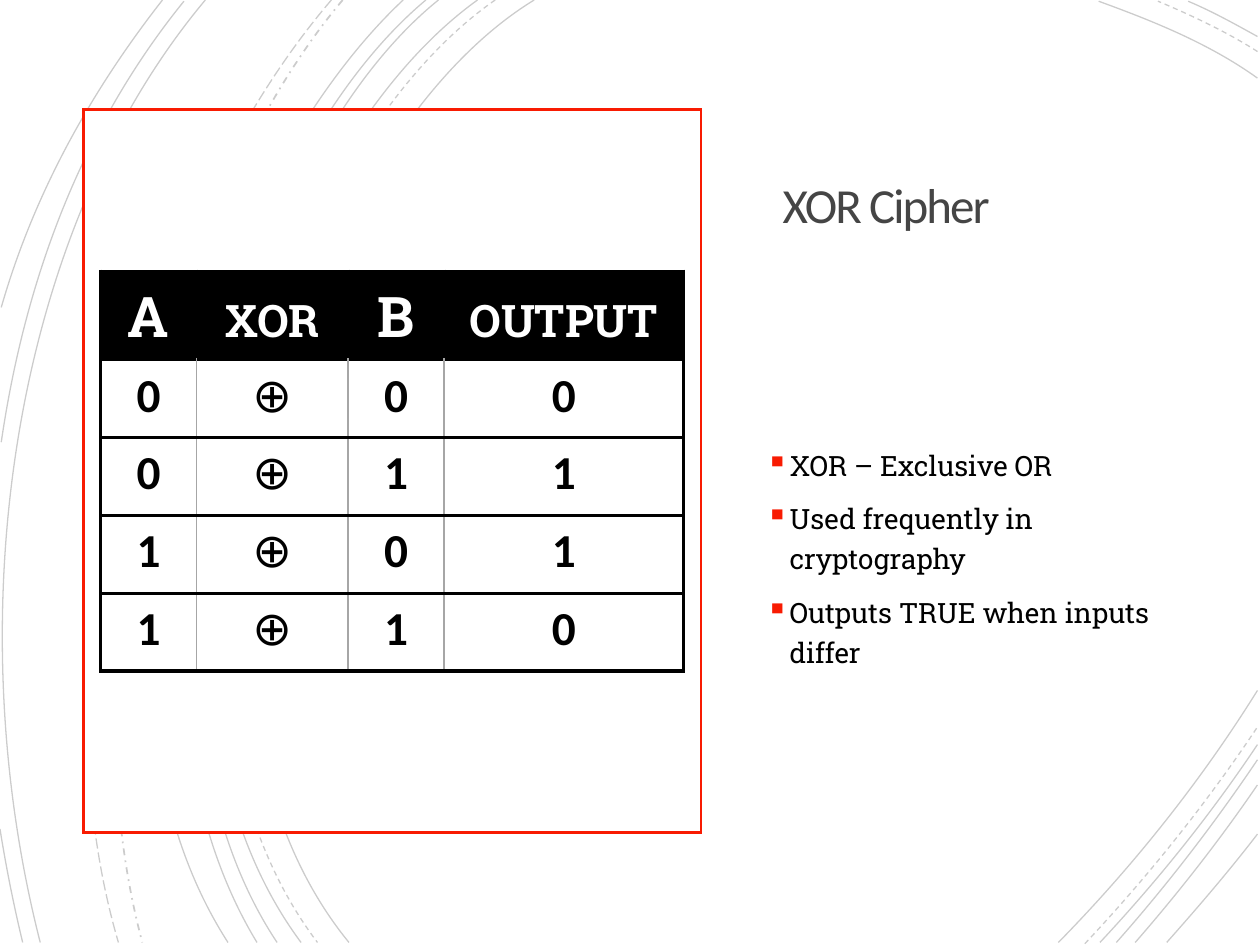
from lxml.etree import SubElement
from pptx import Presentation
from pptx.dml.color import RGBColor
from pptx.enum.dml import MSO_LINE_DASH_STYLE as DASH
from pptx.enum.shapes import MSO_SHAPE as SHAPE
from pptx.enum.text import MSO_ANCHOR as ANCHOR, PP_ALIGN as ALIGN
from pptx.oxml.ns import qn
from pptx.util import Cm, Pt

RED, BLACK, WHITE, GREY = "F81B02", "000000", "FFFFFF", "A6A6A6"
HEAD_FONT, BODY_FONT = "Roboto Slab", "Calibri"
CM_PER_INCH = 2.54

SOLID_ARCS = [
    ((4.24, 0), (2.36, 1.15), (1.07, 5.4), (2.77, 7.48)),
    ((9.98, 0.62), (9.59, 0.34), (9.13, 0.16), (8.72, 0.01)),
    ((8.4, 7.48), (8.97, 6.9), (9.52, 6.22), (9.98, 5.48)),
    ((3.79, 0), (2.02, 1.27), (0.82, 5.37), (2.39, 7.48)),
    ((9.98, 0.29), (9.8, 0.19), (9.62, 0.09), (9.43, 0.01)),
    ((8.73, 7.48), (9.17, 7.01), (9.6, 6.48), (9.98, 5.91)),
    ((3.48, 0), (1.83, 1.33), (0.82, 5.41), (2.2, 7.48)),
    ((8.86, 7.48), (9.25, 7.04), (9.63, 6.55), (9.98, 6.03)),
    ((3.38, 0), (1.73, 1.38), (0.73, 5.33), (2.04, 7.48)),
    ((9.01, 7.48), (9.35, 7.09), (9.68, 6.67), (9.98, 6.23)),
    ((3.2, 0), (1.63, 1.47), (0.4, 5.29), (1.81, 7.48)),
    ((9.26, 7.48), (9.5, 7.21), (9.75, 6.92), (9.98, 6.62)),
    ((1.63, 0), (0.08, 1.85), (-0.34, 4.9), (0.32, 7.48)),
    ((1.46, 0.01), (0.69, 0.96), (0.21, 2.14), (0.01, 3.51)),
    ((0, 6.58), (0.05, 6.89), (0.11, 7.19), (0.18, 7.48)),
    ((1.29, 0), (0.75, 0.69), (0.28, 1.5), (0.01, 2.44)),
]
DASHED_ARCS = [
    ((3.93, 0), (2.13, 1.25), (0.92, 5.37), (2.52, 7.48)),
    ((9.98, 0.41), (9.73, 0.25), (9.45, 0.12), (9.19, 0.01)),
    ((8.61, 7.49), (9.09, 6.98), (9.56, 6.4), (9.98, 5.77)),
]
DASH_DOT_ARCS = [((2.72, 0), (1.32, 1.66), (0.49, 5.09), (1.13, 7.48))]
LONG_DASH_ARCS = [((2.63, 0), (1.18, 1.69), (0.21, 4.99), (0.94, 7.48))]
ARC_STYLES = [
    (SOLID_ARCS, DASH.SOLID, 0.75),
    (DASHED_ARCS, DASH.DASH, 0.75),
    (DASH_DOT_ARCS, DASH.DASH_DOT, 1),
    (LONG_DASH_ARCS, DASH.LONG_DASH, 0.75),
]

HEADER = ["A", "xor", "B", "output"]
TRUTH_ROWS = [(str(a), "⊕", str(b), str(a ^ b)) for a in (0, 1) for b in (0, 1)]
COL_WIDTHS = [1.93, 3.06, 1.93, 4.83]
HEADER_HEIGHT, ROW_HEIGHT = 1.78, 1.57
BULLETS = [
    "XOR – Exclusive OR",
    "Used frequently in cryptography",
    "Outputs TRUE when inputs differ",
]


def rgb(color):
    return RGBColor.from_string(color)


def style_run(r, font, size, color, bold=False):
    r.font.name, r.font.size, r.font.bold = font, Pt(size), bold
    r.font.color.rgb = rgb(color)


def add_arc(s, arc, dash, width):
    start, *rest = [tuple(Cm(CM_PER_INCH * v) for v in point) for point in arc]
    builder = s.shapes.build_freeform(*start)
    builder.add_line_segments(rest, close=False)
    sp = builder.convert_to_shape()
    lines = sp._element.findall(".//" + qn("a:lnTo"))
    outline = lines[0].getparent()
    curve = SubElement(outline, qn("a:cubicBezTo"))
    for line in lines:
        curve.append(line[0])
        outline.remove(line)
    sp.shadow.inherit = False
    sp.fill.background()
    sp.line.width, sp.line.dash_style = Pt(width), dash
    sp.line.color.rgb = rgb(BLACK)
    color = sp._element.spPr.find(".//" + qn("a:srgbClr"))
    SubElement(color, qn("a:alpha"), val="20000")


def add_frame(s):
    sp = s.shapes.add_shape(SHAPE.RECTANGLE, Cm(1.68), Cm(2.21), Cm(12.45), Cm(14.58))
    sp.shadow.inherit = False
    sp.fill.solid()
    sp.fill.fore_color.rgb = rgb(WHITE)
    sp.line.color.rgb = rgb(RED)
    sp.line.width = Pt(1.5)
    ln = sp._element.spPr.find(qn("a:ln"))
    SubElement(ln, qn("a:miter"), lim="800000")


def add_text_box(s, left, top, width, height):
    tf = s.shapes.add_textbox(Cm(left), Cm(top), Cm(width), Cm(height)).text_frame
    tf.word_wrap, tf.vertical_anchor = True, ANCHOR.MIDDLE
    return tf


def add_title(s):
    tf = add_text_box(s, 15.14, 2.21, 8.59, 3.99)
    tf.margin_left = tf.margin_right = tf.margin_top = tf.margin_bottom = Cm(0.64)
    tf.text = "XOR Cipher"
    p = tf.paragraphs[0]
    p.line_spacing = 0.85
    r = p.runs[0]
    style_run(r, BODY_FONT, 28, "454545")
    r._r.get_or_add_rPr().set("spc", "-110")


def add_bullet(p):
    pPr = p._p.get_or_add_pPr()
    pPr.set("marL", str(Cm(0.48)))
    pPr.set("indent", str(-Cm(0.48)))
    SubElement(SubElement(pPr, qn("a:buClr")), qn("a:srgbClr"), val=RED)
    SubElement(pPr, qn("a:buSzPct"), val="110000")
    SubElement(pPr, qn("a:buChar"), char="▪")


def add_bullets(s):
    tf = add_text_box(s, 15.19, 6.5, 8.53, 10.21)
    tf.margin_bottom = Cm(0.94)
    tf.text = "\n".join(BULLETS)
    for i, p in enumerate(tf.paragraphs):
        add_bullet(p)
        p.line_spacing = 1.2
        p.space_before = Pt(7.5 if i else 0)
        style_run(p.runs[0], HEAD_FONT, 16, BLACK)


def add_border(cell, side, color, width):
    ln = SubElement(cell._tc.get_or_add_tcPr(), qn("a:ln" + side), w=str(Pt(width)))
    SubElement(SubElement(ln, qn("a:solidFill")), qn("a:srgbClr"), val=color)


def style_cell(cell, text, row, col):
    is_header = row == 0
    outer = {"L": col == 0, "R": col == len(HEADER) - 1}
    for side in "LRTB":
        strong = is_header or outer.get(side, True)
        add_border(cell, side, *((BLACK, 2.25) if strong else (GREY, 1)))
    cell.fill.solid()
    cell.fill.fore_color.rgb = rgb(BLACK if is_header else WHITE)
    cell.margin_left = cell.margin_right = Cm(0.28)
    cell.margin_top = cell.margin_bottom = Cm(0.15)
    cell.vertical_anchor = ANCHOR.MIDDLE if is_header else ANCHOR.TOP
    cell.text = text
    p = cell.text_frame.paragraphs[0]
    p.alignment = ALIGN.CENTER
    r = p.runs[0]
    if is_header:
        style_run(r, HEAD_FONT, 32, WHITE, True)
        if text.islower():
            r._r.get_or_add_rPr().set("cap", "small")
    else:
        style_run(r, BODY_FONT, 27, BLACK, text.isdigit())


def add_truth_table(s):
    rows = [HEADER, *TRUTH_ROWS]
    heights = [HEADER_HEIGHT] + [ROW_HEIGHT] * len(TRUTH_ROWS)
    table = s.shapes.add_table(len(rows), len(HEADER), Cm(2.03), Cm(5.47),
                               Cm(sum(COL_WIDTHS)), Cm(sum(heights))).table
    table.first_row = table.horz_banding = False
    for column, width in zip(table.columns, COL_WIDTHS):
        column.width = Cm(width)
    for i, (texts, height) in enumerate(zip(rows, heights)):
        table.rows[i].height = Cm(height)
        for j, text in enumerate(texts):
            style_cell(table.cell(i, j), text, i, j)


def main():
    """Build the XOR cipher slide and save it."""
    prs = Presentation()
    prs.slide_width, prs.slide_height = Cm(25.4), Cm(19.05)
    s = prs.slides.add_slide(prs.slide_layouts[6])
    for arcs, dash, width in ARC_STYLES:
        for arc in arcs:
            add_arc(s, arc, dash, width)
    add_title(s)
    add_frame(s)
    add_bullets(s)
    add_truth_table(s)
    prs.save("out.pptx")


if __name__ == "__main__":
    main()
